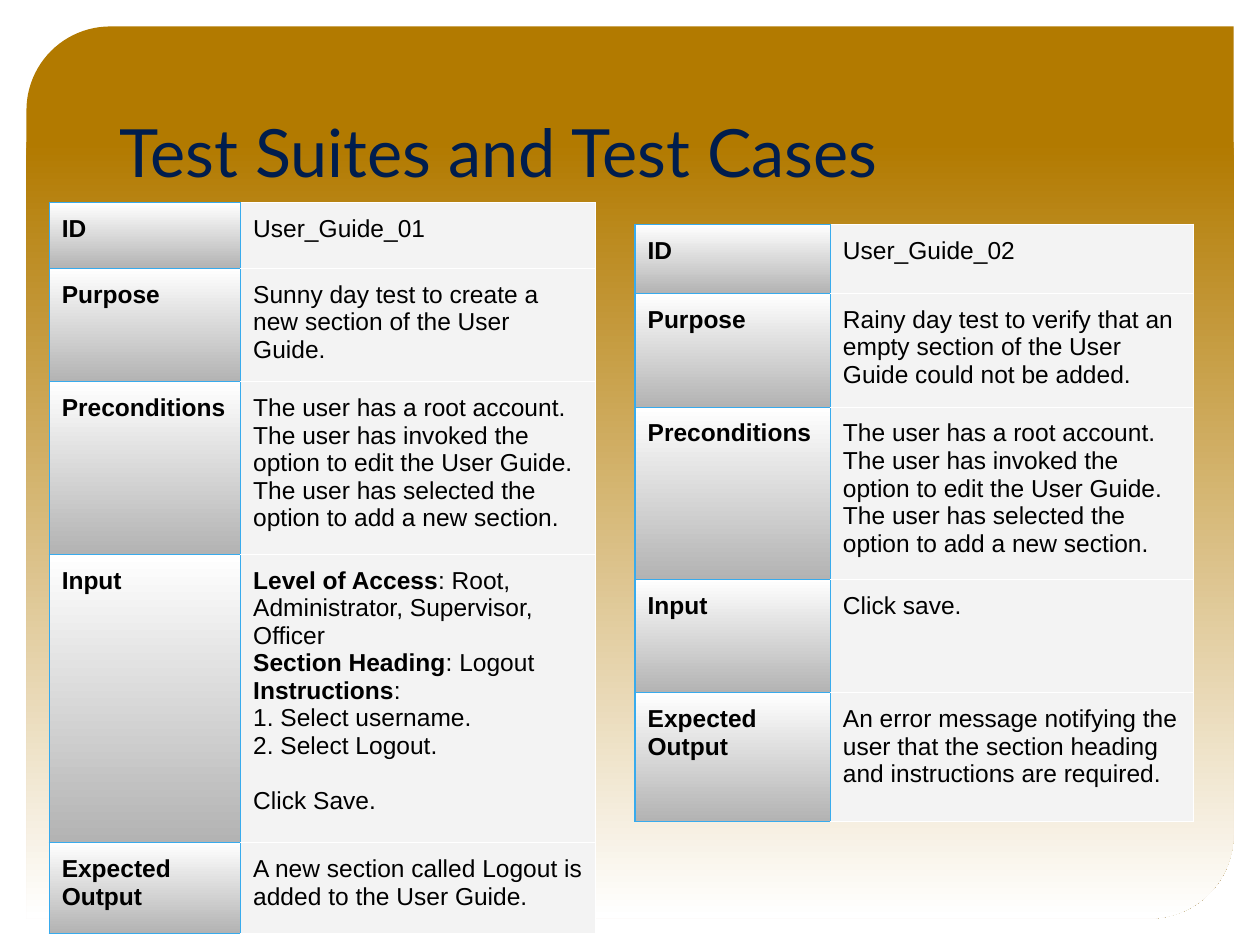
from copy import deepcopy

from lxml.etree import SubElement
from pptx import Presentation
from pptx.dml.color import RGBColor as Rgb
from pptx.enum.shapes import MSO_SHAPE as Shape
from pptx.enum.text import MSO_ANCHOR as Anchor
from pptx.oxml.ns import qn
from pptx.util import Inches, Pt

THEME = {
    "gold": "B27A00", "white": "FFFFFF", "grey": "B3B3B3", "pale": "F3F3F3",
    "blue": "38ABED",
    "line": Pt(0.75),
    "title": {"name": "Lato", "size": Pt(38), "color": "001D4D"},
    "body": {"name": "Arial", "size": Pt(14), "color": "000000"},
}

deck = Presentation()
deck.slide_width, deck.slide_height = Inches(10), Inches(7.5)
page = deck.slides.add_slide(deck.slide_layouts[6])
UNIT = deck.slide_width / 100  # the page is a grid of 100 columns by 75 rows


def paint_down(fill, holder, stops):
    """Fill with a gradient from top to bottom; stops are (share, colour)."""
    fill.gradient()
    fill.gradient_angle = 270
    stop_list = holder.find(".//" + qn("a:gsLst"))
    while len(stop_list) < len(stops):
        stop_list.append(deepcopy(stop_list[-1]))
    for stop, (share, color) in zip(fill.gradient_stops, stops):
        stop.position = share
        stop.color.rgb = Rgb.from_string(color)


def add_span(para, text, style, bold=False):
    span = para.add_run()
    span.text = text
    for name, value in {**style, "bold": bold}.items():
        if name == "color":
            span.font.color.rgb = Rgb.from_string(value)
        else:
            setattr(span.font, name, value)


# Background panel
panel = page.shapes.add_shape(
    Shape.ROUND_2_DIAG_RECTANGLE, *(int(n * UNIT) for n in (2.1, 2.1, 95.8, 70.8)))
panel.adjustments[0], panel.adjustments[1] = 0.094, 0
panel.shadow.inherit = False
panel.line.fill.background()
paint_down(panel.fill, panel.element.spPr,
           [(0, THEME["gold"]), (0.13, THEME["gold"]), (1, THEME["white"])])

# Title
title = page.shapes.add_textbox(*(int(n * UNIT) for n in (8.5, 4.2, 82.9, 11.4)))
title.text_frame.word_wrap = True
title.text_frame.vertical_anchor = Anchor.BOTTOM
add_span(title.text_frame.paragraphs[0], "Test Suites and Test Cases", THEME["title"])

# Test cases: each paragraph is a (bold, plain) pair
labels = ["ID", "Purpose", "Preconditions", "Input", "Expected Output"]
preconditions = [
    ("", "The user has a root account."),
    ("", "The user has invoked the option to edit the User Guide."),
    ("", "The user has selected the option to add a new section."),
]
cases = [
    {
        "at": (3.9, 16.1), "columns": (15.2, 28.2), "rows": (5.2, 9, 9, 9, 7.2),
        "values": [
            [("", "User_Guide_01")],
            [("", "Sunny day test to create a new section of the User Guide.")],
            preconditions,
            [("Level of Access", ": Root, Administrator, Supervisor, Officer"),
             ("Section Heading", ": Logout"),
             ("Instructions", ":"),
             ("", "1. Select username."),
             ("", "2. Select Logout."),
             ("", "Click Save.")],
            [("", "A new section called Logout is added to the User Guide.")],
        ],
    },
    {
        "at": (50.4, 17.8), "columns": (15.5, 28.8), "rows": (5.5, 9, 10.2, 9, 10.2),
        "values": [
            [("", "User_Guide_02")],
            [("", "Rainy day test to verify that an empty section of the User "
                  "Guide could not be added.")],
            preconditions,
            [("", "Click save.")],
            [("", "An error message notifying the user that the section heading "
                  "and instructions are required.")],
        ],
    },
]

for case in cases:
    size = sum(case["columns"]), sum(case["rows"])
    table = page.shapes.add_table(
        len(labels), 2, *(int(n * UNIT) for n in case["at"] + size)).table
    table.first_row = table.horz_banding = False
    for column, width in zip(table.columns, case["columns"]):
        column.width = int(width * UNIT)
    for row, height in zip(table.rows, case["rows"]):
        row.height = int(height * UNIT)

    for row, label, value in zip(table.rows, labels, case["values"]):
        for index, (cell, paras) in enumerate(zip(row.cells, ([(label, "")], value))):
            for side in ("left", "top", "right", "bottom"):
                setattr(cell, f"margin_{side}", Inches(0.1))

            # Borders: blue around labels, white around values
            props = cell._tc.get_or_add_tcPr()
            for side in ("lnL", "lnR", "lnT", "lnB"):
                color = THEME["blue" if index == 0 or side == "lnL" else "white"]
                border = SubElement(props, qn(f"a:{side}"), w=str(THEME["line"]))
                solid = SubElement(border, qn("a:solidFill"))
                SubElement(solid, qn("a:srgbClr"), val=color)

            # Fill
            if index == 0:
                paint_down(cell.fill, props, [(0, THEME["white"]), (1, THEME["grey"])])
            else:
                cell.fill.solid()
                cell.fill.fore_color.rgb = Rgb.from_string(THEME["pale"])

            # Text
            frame = cell.text_frame
            for number, (strong, plain) in enumerate(paras):
                para = frame.add_paragraph() if number else frame.paragraphs[0]
                if plain == "Click Save.":
                    para.space_before = Pt(16)
                for text, bold in ((strong, True), (plain, False)):
                    if text:
                        add_span(para, text, THEME["body"], bold)

deck.save("out.pptx")
